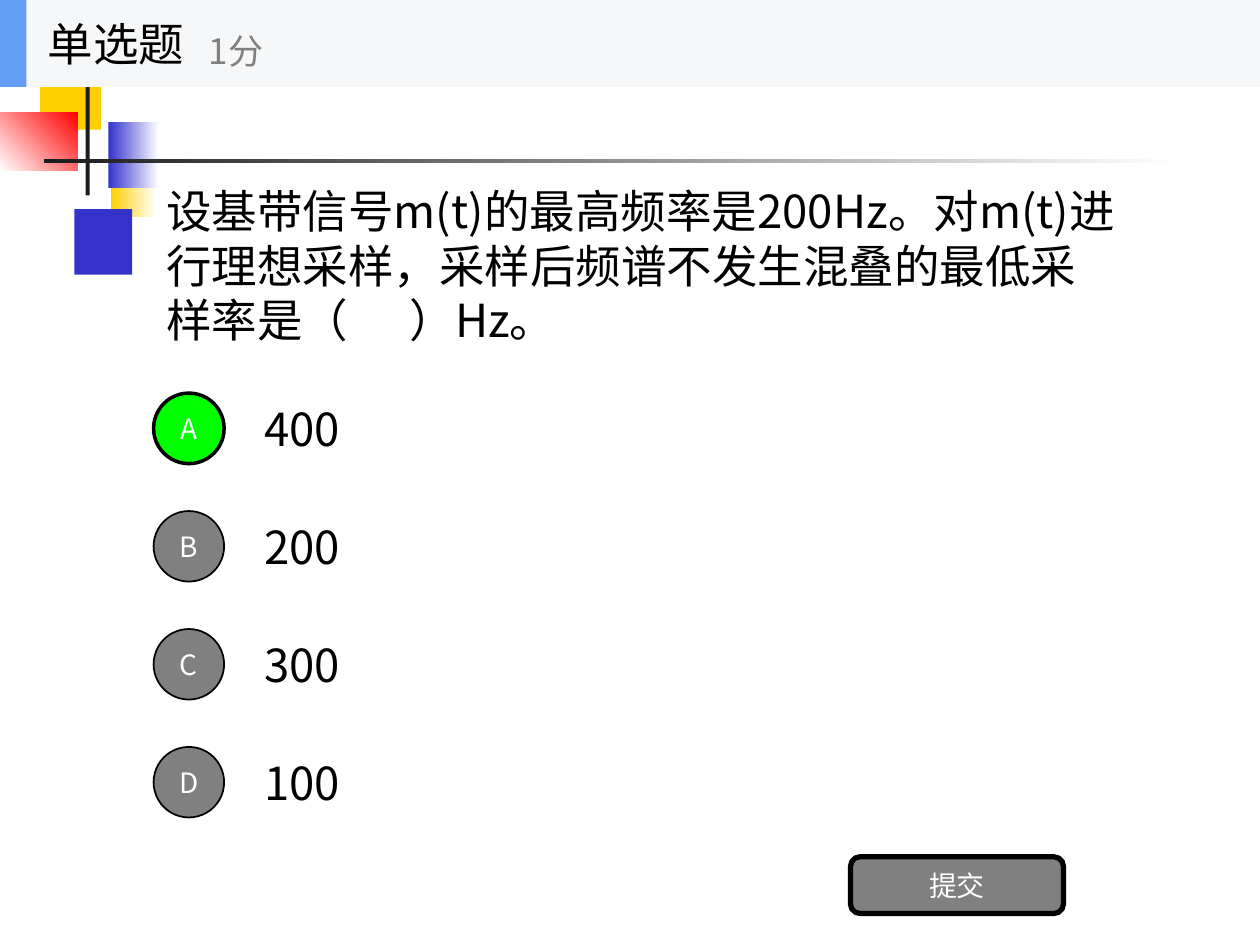
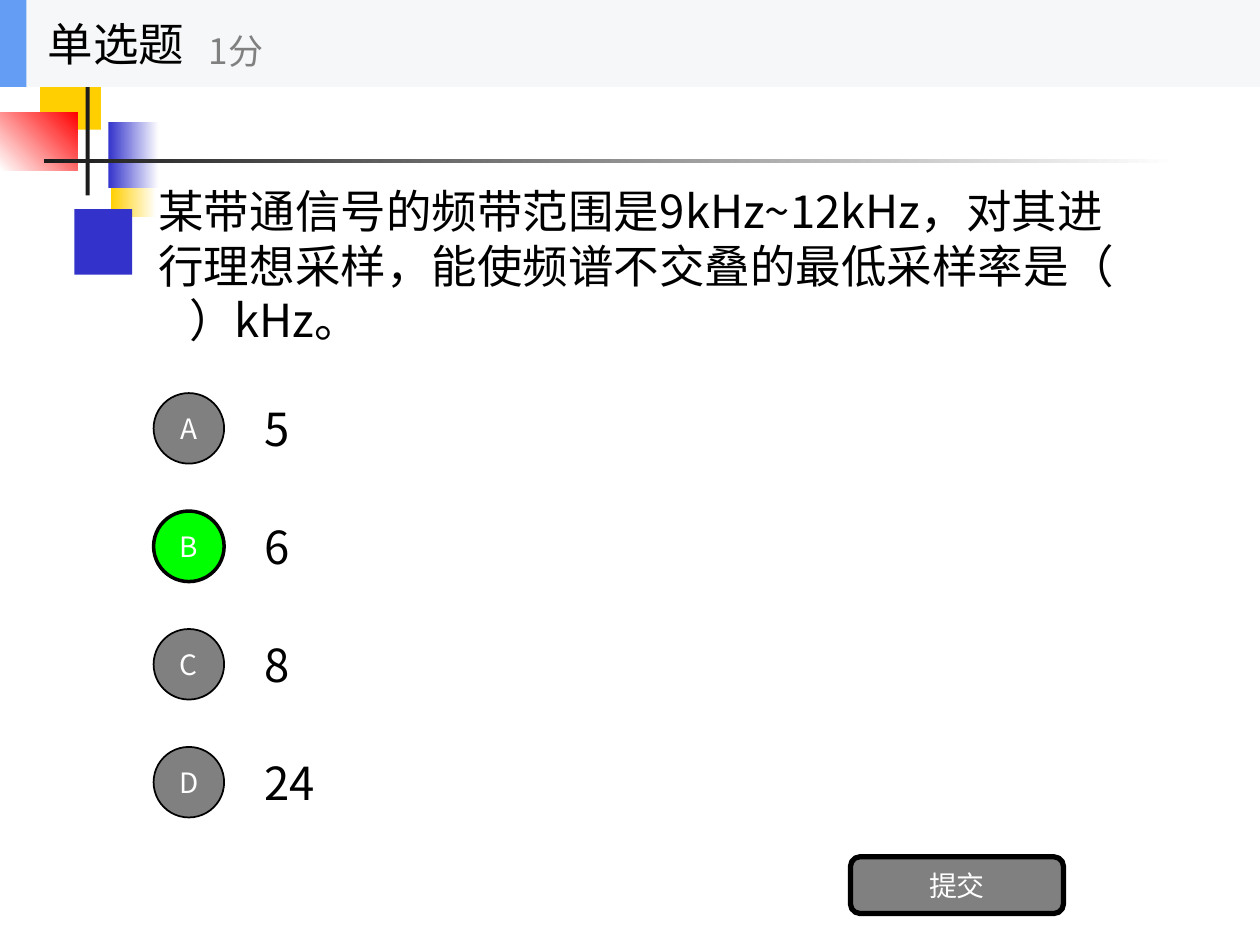
from pptx import Presentation
from pptx.dml.color import RGBColor
from pptx.enum.shapes import MSO_SHAPE as SHAPE
from pptx.enum.text import MSO_ANCHOR as ANCHOR, MSO_AUTO_SIZE as AUTO, PP_ALIGN as ALIGN
from pptx.oxml.ns import qn
from pptx.util import Pt
from lxml import etree

FONT = "Noto Sans CJK SC"
BLACK, WHITE, GRAY, GREEN = "000000", "FFFFFF", "808080", "00FF00"
YELLOW, BLUE, RED, INK = "FFCF01", "3333CC", "FF0000", "1C1C1C"
BAND, ACCENT = "F6F7F8", "639EF4"

RIGHT_EDGE = 648
HEADER_HEIGHT = 49.7
OPTION_TOP, OPTION_STEP, OPTION_HEIGHT = 219.6, 67.4, 50.4
MARK_LEFT, MARK_SIZE = 87.8, 40.3

# Question, its left edge, the four options and the letter of the right one
QUESTIONS = [
    ("设基带信号m(t)的最高频率是200Hz。对m(t)进行理想采样，采样后频谱不发生混叠的最低采样率是（      ）Hz。",
     87.8, ["400", "200", "300", "100"], "A"),
    ("某带通信号的频带范围是9kHz~12kHz，对其进行理想采样，能使频谱不交叠的最低采样率是（    ）kHz。",
     83.5, ["5", "6", "8", "24"], "B"),
]

# Background blocks: left, top, width, height, colours, gradient angle
BLOCKS = [
    (63.4, 86.4, 25.9, 37.4, (YELLOW, WHITE), 0),
    (42.5, 119.5, 33.1, 37.4, (BLUE,), 0),
    (23, 36.7, 34.6, 37.4, (YELLOW,), 0),
    (61.9, 69.8, 28.8, 37.4, (BLUE, WHITE), 0),
    (0, 64.1, 44.4, 33.1, (WHITE, RED), 45),
    (49, 28.8, 2.2, 82.8, (INK,), 0),
    (25.2, 90.7, RIGHT_EDGE, 2.2, (INK, WHITE), 0),
]


def rgb(value):
    return RGBColor.from_string(value)


def write(sp, text, size, color, align=ALIGN.LEFT, spacing=None):
    """Put one vertically centred paragraph in a shape."""
    tf = sp.text_frame
    tf.word_wrap = True
    tf.auto_size = AUTO.NONE
    tf.vertical_anchor = ANCHOR.MIDDLE
    p = tf.paragraphs[0]
    p.alignment = align
    if spacing:
        p.line_spacing = Pt(spacing)
    r = p.add_run()
    r.text = text
    r.font.size = Pt(size)
    r.font.name = FONT
    r.font.color.rgb = rgb(color)
    ea = etree.SubElement(r.font._element, qn("a:ea"))
    ea.set("typeface", FONT)


def add_text(slide, box, text, size, color, spacing=None):
    sp = slide.shapes.add_textbox(*map(Pt, box))
    write(sp, text, size, color, spacing=spacing)


def add_block(slide, box, colors, angle=0, kind=SHAPE.RECTANGLE):
    """Add a shape without outline, filled plain or with a gradient."""
    sp = slide.shapes.add_shape(kind, *map(Pt, box))
    sp.shadow.inherit = False
    sp.line.fill.background()
    if len(colors) == 1:
        sp.fill.solid()
        sp.fill.fore_color.rgb = rgb(colors[0])
    else:
        sp.fill.gradient()
        sp.fill.gradient_angle = angle
        for stop, color in zip(sp.fill.gradient_stops, colors):
            stop.color.rgb = rgb(color)
    return sp


def add_button(slide, kind, box, text, fill, line_width):
    sp = add_block(slide, box, (fill,), kind=kind)
    sp.line.color.rgb = rgb(BLACK)
    sp.line.width = Pt(line_width)
    tf = sp.text_frame
    tf.margin_left = tf.margin_right = tf.margin_top = tf.margin_bottom = 0
    write(sp, text, 16, WHITE, ALIGN.CENTER)


def add_header(slide):
    add_block(slide, (0, 0, 720, HEADER_HEIGHT), (BAND,))
    add_block(slide, (0, 0, 15.1, HEADER_HEIGHT), (ACCENT,))
    title = slide.shapes.title
    title.left, title.top, title.width, title.height = map(
        Pt, (20.2, 0, 149.8, HEADER_HEIGHT))
    write(title, "单选题", 26, BLACK)
    slide.shapes._spTree.append(title._element)  # in front of the band
    add_text(slide, (112.3, 8.6, 180, 40.3), "1分", 20, GRAY)


def add_options(slide, options, answer):
    for i, (letter, option) in enumerate(zip("ABCD", options)):
        top = OPTION_TOP + i * OPTION_STEP
        add_text(slide, (144, top, RIGHT_EDGE - 144, OPTION_HEIGHT), option, 26, BLACK)
        mark_top = top + (OPTION_HEIGHT - MARK_SIZE) / 2
        fill, line_width = (GREEN, 2) if letter == answer else (GRAY, 1)
        add_button(slide, SHAPE.OVAL, (MARK_LEFT, mark_top, MARK_SIZE, MARK_SIZE),
                   letter, fill, line_width)


def add_question_slide(prs, question, left, options, answer):
    slide = prs.slides.add_slide(prs.slide_layouts[5])
    for *box, colors, angle in BLOCKS:
        add_block(slide, box, colors, angle)
    add_text(slide, (left, 84.2, RIGHT_EDGE - left, 134.6), question, 26, BLACK, 31.2)
    add_options(slide, options, answer)
    add_button(slide, SHAPE.ROUNDED_RECTANGLE, (486, 489.6, 121.7, 32.4),
               "提交", GRAY, 3)
    add_header(slide)


def main():
    prs = Presentation()
    prs.slide_width, prs.slide_height = Pt(720), Pt(540)
    for question in QUESTIONS:
        add_question_slide(prs, *question)
    prs.save("out.pptx")


if __name__ == "__main__":
    main()
